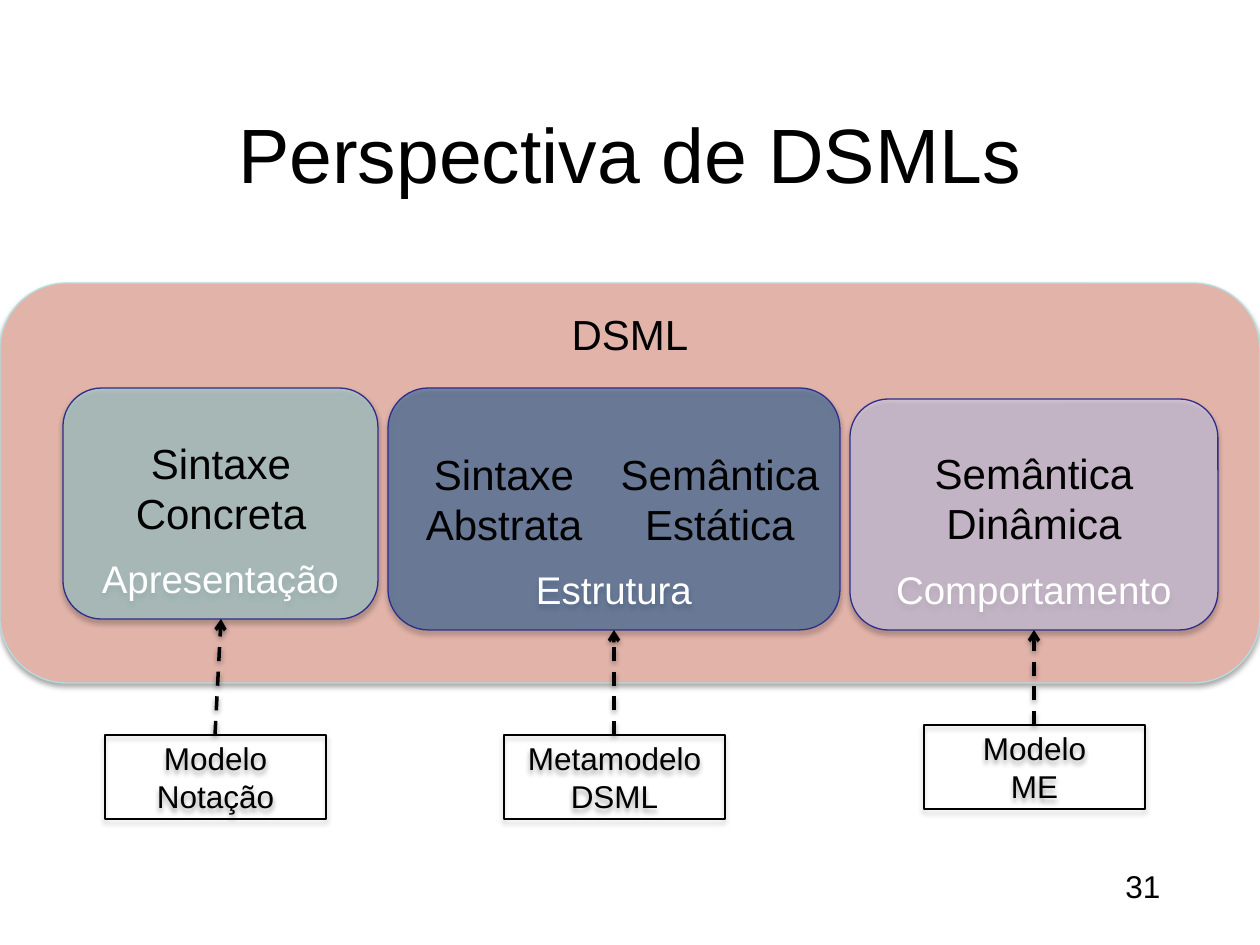
"""Build the slide "Perspectiva de DSMLs" with its layered model diagram."""
from dataclasses import dataclass
from typing import Optional

from lxml.etree import SubElement
from pptx import Presentation
from pptx.dml.color import RGBColor
from pptx.enum.dml import MSO_LINE_DASH_STYLE as Dash
from pptx.enum.shapes import MSO_CONNECTOR as Connector, MSO_SHAPE as Preset
from pptx.enum.text import MSO_ANCHOR as Anchor, PP_ALIGN as Align
from pptx.oxml.ns import qn
from pptx.util import Emu, Pt

COLORS = {
    "black": "000000",
    "white": "FFFFFF",
    "salmon": "E1B3A9",
    "pale_teal": "B6DCDF",
    "navy": "2D2D8A",
    "blue": "0B599F",
    "lavender": "CECEEF",
    "teal": "9ED3D7",
}
FONT = "Arial"
EMU_PER_PX = 914400 / 126


@dataclass(frozen=True)
class Box:
    left: int
    top: int
    width: int
    height: int


@dataclass(frozen=True)
class Panel:
    box: Box
    text: str
    fill: Optional[str] = None
    line: str = "navy"
    opacity: int = 100
    preset: Preset = Preset.ROUNDED_RECTANGLE
    size: int = 22
    color: str = "white"
    anchor: Anchor = Anchor.BOTTOM


@dataclass(frozen=True)
class Label:
    box: Box
    text: str
    size: int = 24
    anchor: Anchor = Anchor.TOP
    wrap: bool = True
    align: Align = Align.CENTER


@dataclass(frozen=True)
class Arrow:
    start: tuple[int, int]
    end: tuple[int, int]


def model_panel(left: int, top: int, text: str) -> Panel:
    return Panel(Box(left, top, 221, 84), text, line="black", preset=Preset.RECTANGLE,
                 size=18, color="black", anchor=Anchor.MIDDLE)


PANELS = [
    Panel(Box(0, 283, 1260, 400), "DSML", "salmon", "pale_teal",
          size=24, color="black", anchor=Anchor.TOP),
    Panel(Box(388, 388, 452, 242), "Estrutura", "blue", opacity=47),
    Panel(Box(850, 399, 368, 231), "Comportamento", "lavender", opacity=60),
    Panel(Box(63, 388, 315, 231), "Apresentação", "teal", opacity=60),
    model_panel(105, 735, "Modelo Notação"),
    model_panel(504, 735, "Metamodelo DSML"),
    model_panel(924, 725, "Modelo\nME"),
]
LABELS = [
    Label(Box(63, 95, 1134, 116), "Perspectiva de DSMLs", 44, Anchor.MIDDLE),
    Label(Box(116, 431, 210, 115), "Sintaxe Concreta"),
    Label(Box(399, 442, 210, 115), "Sintaxe Abstrata"),
    Label(Box(599, 442, 242, 115), "Semântica Estática"),
    Label(Box(903, 441, 262, 115), "Semântica Dinâmica"),
    Label(Box(1113, 861, 64, 50), "31", 18, wrap=False, align=Align.LEFT),
]
ARROWS = [
    Arrow((215, 735), (221, 619)),
    Arrow((614, 735), (614, 630)),
    Arrow((1034, 725), (1034, 630)),
]


def px(value: int) -> Emu:
    return Emu(round(value * EMU_PER_PX))


def place(box: Box) -> tuple[Emu, ...]:
    return px(box.left), px(box.top), px(box.width), px(box.height)


def rgb(name: str) -> RGBColor:
    return RGBColor.from_string(COLORS[name])


def add_shadow(shape, distance: float, opacity: int) -> None:
    effects = SubElement(shape._element.spPr, qn("a:effectLst"))
    shadow = SubElement(effects, qn("a:outerShdw"), blurRad=str(Pt(3.1)),
                        dist=str(Pt(distance)), dir="5400000", rotWithShape="0")
    color = SubElement(shadow, qn("a:srgbClr"), val=COLORS["black"])
    SubElement(color, qn("a:alpha"), val=str(opacity * 1000))


def write_text(shape, text: str, *, size: int, color: str = "black",
               anchor: Anchor = Anchor.TOP, align: Align = Align.CENTER,
               wrap: bool = True) -> None:
    frame = shape.text_frame
    frame.text = text
    frame.word_wrap = wrap
    frame.vertical_anchor = anchor
    for paragraph in frame.paragraphs:
        paragraph.alignment = align
        font = paragraph.runs[0].font
        font.name, font.size = FONT, Pt(size)
        font.color.rgb = rgb(color)


def draw_panel(slide, panel: Panel) -> None:
    shape = slide.shapes.add_shape(panel.preset, *place(panel.box))
    if panel.fill:
        shape.fill.solid()
        shape.fill.fore_color.rgb = rgb(panel.fill)
        if panel.opacity < 100:
            color = shape._element.spPr.find(qn("a:solidFill")).find(qn("a:srgbClr"))
            SubElement(color, qn("a:alpha"), val=str(panel.opacity * 1000))
    else:
        shape.fill.background()
    shape.line.color.rgb = rgb(panel.line)
    shape.line.width = Pt(0.75)
    add_shadow(shape, 1.8, 35)
    write_text(shape, panel.text, size=panel.size, color=panel.color, anchor=panel.anchor)


def draw_label(slide, label: Label) -> None:
    shape = slide.shapes.add_textbox(*place(label.box))
    write_text(shape, label.text, size=label.size, anchor=label.anchor,
               align=label.align, wrap=label.wrap)


def draw_arrow(slide, arrow: Arrow) -> None:
    points = [px(value) for value in (*arrow.start, *arrow.end)]
    connector = slide.shapes.add_connector(Connector.STRAIGHT, *points)
    connector.line.color.rgb = rgb("black")
    connector.line.width = Pt(2)
    connector.line.dash_style = Dash.DASH
    SubElement(connector.line._get_or_add_ln(), qn("a:tailEnd"), type="arrow")
    add_shadow(connector, 1.6, 38)


def main() -> None:
    presentation = Presentation()
    presentation.slide_width, presentation.slide_height = px(1260), px(945)
    slide = presentation.slides.add_slide(presentation.slide_layouts[6])
    for panel in PANELS:
        draw_panel(slide, panel)
    for label in LABELS:
        draw_label(slide, label)
    for arrow in ARROWS:
        draw_arrow(slide, arrow)
    presentation.save("out.pptx")


if __name__ == "__main__":
    main()
